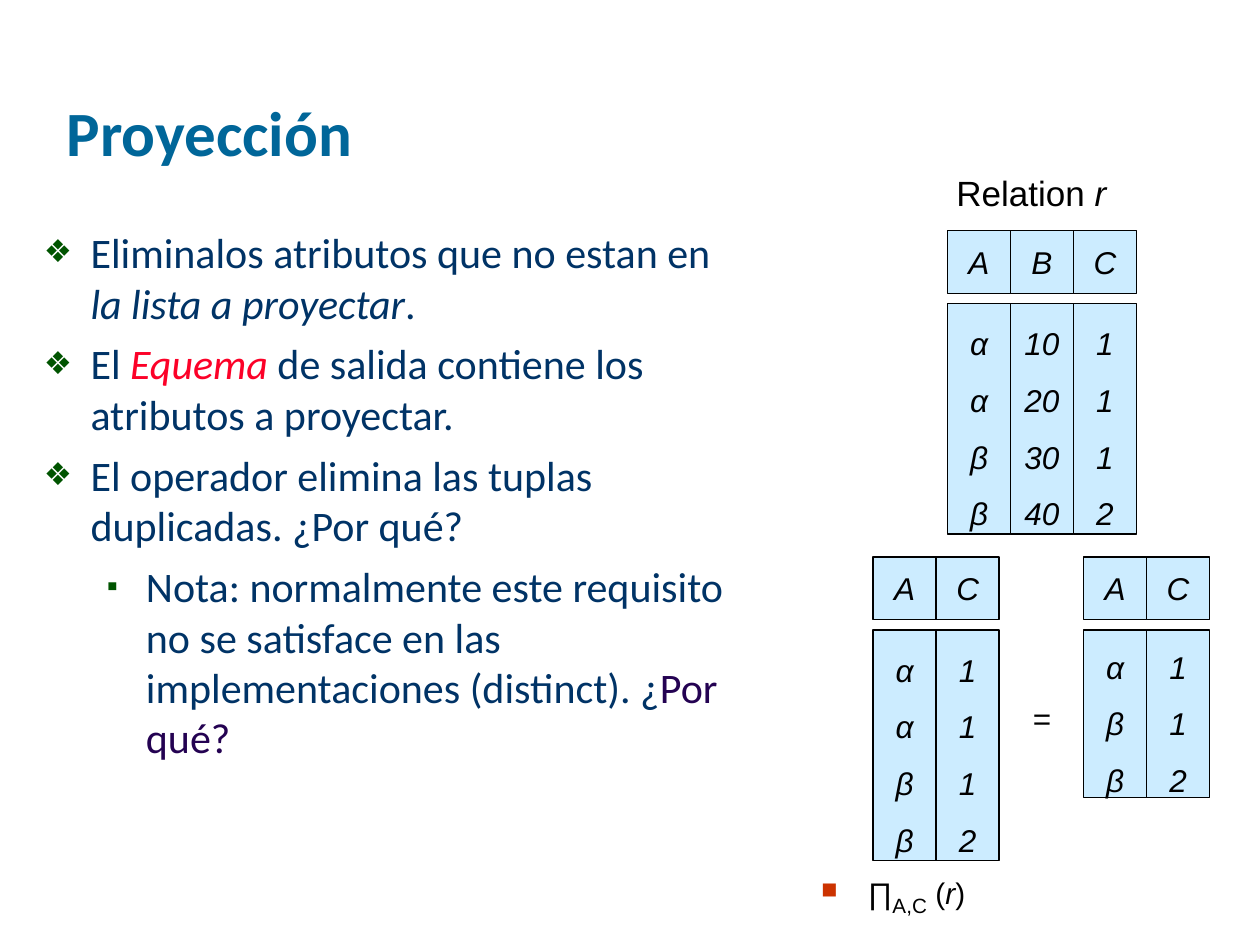
from lxml import etree
from pptx import Presentation
from pptx.dml.color import RGBColor
from pptx.enum.shapes import MSO_SHAPE
from pptx.enum.text import MSO_ANCHOR, MSO_AUTO_SIZE, PP_ALIGN
from pptx.oxml.ns import qn
from pptx.util import Emu, Pt

RECTANGLE = MSO_SHAPE.RECTANGLE
TOP, MIDDLE, BOTTOM = MSO_ANCHOR.TOP, MSO_ANCHOR.MIDDLE, MSO_ANCHOR.BOTTOM
LEFT, CENTER = PP_ALIGN.LEFT, PP_ALIGN.CENTER
NO_FIT = MSO_AUTO_SIZE.NONE

PX = 9144
CELL, HEADER_GAP = 50, 8
COLORS = {
    "title": "006699",
    "body": "003366",
    "accent": "FC0128",
    "question": "240252",
    "bullet": "005400",
    "square": "CC3300",
    "cell": "CCECFF",
    "black": "000000",
}


def px(*lengths):
    return [Emu(length * PX) for length in lengths]


def color(name):
    return RGBColor.from_string(COLORS[name])


def add_bullet(para, char, tint, percent, margin, hanging):
    props = para._p.get_or_add_pPr()
    props.set("marL", str(margin * PX))
    props.set("indent", str(-hanging * PX))
    tint_node = etree.SubElement(props, qn("a:buClr"))
    etree.SubElement(tint_node, qn("a:srgbClr"), val=COLORS[tint])
    etree.SubElement(props, qn("a:buSzPct"), val=str(percent * 1000))
    etree.SubElement(props, qn("a:buFont"), typeface="Arial")
    etree.SubElement(props, qn("a:buChar"), char=char)


def write(para, text, size=18, font="Arial", tint="black", bold=False, italic=False, baseline=0):
    span = para.add_run()
    span.text = text
    span.font.size = Pt(size)
    span.font.name = font
    span.font.bold = bold
    span.font.italic = italic
    span.font.color.rgb = color(tint)
    if baseline:
        span.font._element.set("baseline", str(baseline * 1000))


def set_frame(frame, anchor, wrap=True):
    frame.auto_size = NO_FIT
    frame.word_wrap = wrap
    frame.vertical_anchor = anchor
    frame.margin_left = frame.margin_right = Emu(10 * PX)
    frame.margin_top = frame.margin_bottom = Emu(5 * PX)
    return frame


def next_para(frame, index):
    return frame.add_paragraph() if index else frame.paragraphs[0]


def add_title(page, box, text):
    title = page.shapes.title
    title.left, title.top, title.width, title.height = px(*box)
    para = set_frame(title.text_frame, BOTTOM).paragraphs[0]
    para.alignment = LEFT
    write(para, text, size=36, font="Calibri", tint="title", bold=True)


def add_points(page, box, points):
    frame = set_frame(page.shapes.add_textbox(*px(*box)).text_frame, TOP)
    for index, (level, spans) in enumerate(points):
        para = next_para(frame, index)
        para.level = level
        para.space_before = Pt(6)
        char, margin, hanging = (("❖", 37, 37), ("▪", 81, 31))[level]
        add_bullet(para, char, "bullet", 75, margin, hanging)
        for text, style in spans:
            write(para, text, **{"size": 24, "font": "Calibri", "tint": "body", **style})


def add_cell(page, box, values, spacing):
    cell = page.shapes.add_shape(RECTANGLE, *px(*box))
    cell.shadow.inherit = False
    cell.fill.solid()
    cell.fill.fore_color.rgb = color("cell")
    cell.line.color.rgb = color("black")
    cell.line.width = Pt(0.75)
    frame = set_frame(cell.text_frame, MIDDLE, wrap=False)
    for index, value in enumerate(values):
        para = next_para(frame, index)
        para.alignment = CENTER
        para.line_spacing = spacing
        write(para, value, italic=True)


def add_relation(page, left, top, height, columns):
    body_top = top + CELL + HEADER_GAP
    for index, (name, values) in enumerate(columns.items()):
        column_left = left + index * CELL
        add_cell(page, (column_left, top, CELL, CELL), [name], 1.0)
        add_cell(page, (column_left, body_top, CELL, height), values, 1.5)


def add_label(page, box, spans, size):
    frame = set_frame(page.shapes.add_textbox(*px(*box)).text_frame, MIDDLE, wrap=False)
    para = frame.paragraphs[0]
    para.alignment = CENTER
    for text, italic in spans:
        write(para, text, size=size, italic=italic)


def add_expression(page, box):
    frame = set_frame(page.shapes.add_textbox(*px(*box)).text_frame, TOP)
    para = frame.paragraphs[0]
    para.line_spacing = 0.9
    para.space_before = Pt(8.8)
    add_bullet(para, "■", "square", 90, 37, 37)
    write(para, "∏", size=17)
    write(para, "A,C", size=20.4, baseline=-25)
    write(para, " (", size=17)
    write(para, "r", size=17, italic=True)
    write(para, ")", size=17)


def main():
    deck = Presentation()
    deck.slide_width, deck.slide_height = px(1000, 750)
    page = deck.slides.add_slide(deck.slide_layouts[5])

    add_title(page, (43, 18, 850, 121), "Proyección")
    add_points(page, (25, 175, 575, 533), [
        (0, [("Eliminalos atributos que no estan en ", {}),
             ("la lista a proyectar", {"italic": True}), (".", {})]),
        (0, [("El ", {}), ("Equema", {"tint": "accent", "italic": True}),
             (" de salida contiene los atributos a proyectar.", {})]),
        (0, [("El operador elimina las tuplas duplicadas. ¿Por qué?", {})]),
        (1, [("Nota: normalmente este requisito no se satisface en las "
              "implementaciones (distinct). ¿", {}),
             ("Por qué?", {"tint": "question"})]),
    ])

    source = {"A": "ααββ", "B": ["10", "20", "30", "40"], "C": "1112"}
    projected = {name: source[name] for name in "AC"}
    add_relation(page, 752, 183, 183, source)
    add_relation(page, 693, 442, 183, projected)
    add_label(page, (810, 550, 34, 40), [("=", False)], 18)
    add_relation(page, 860, 442, 133, {"A": "αββ", "C": "112"})
    add_expression(page, (642, 685, 350, 45))
    add_label(page, (749, 131, 139, 44), [("Relation", False), (" r", True)], 20)
    deck.save("out.pptx")


if __name__ == "__main__":
    main()
